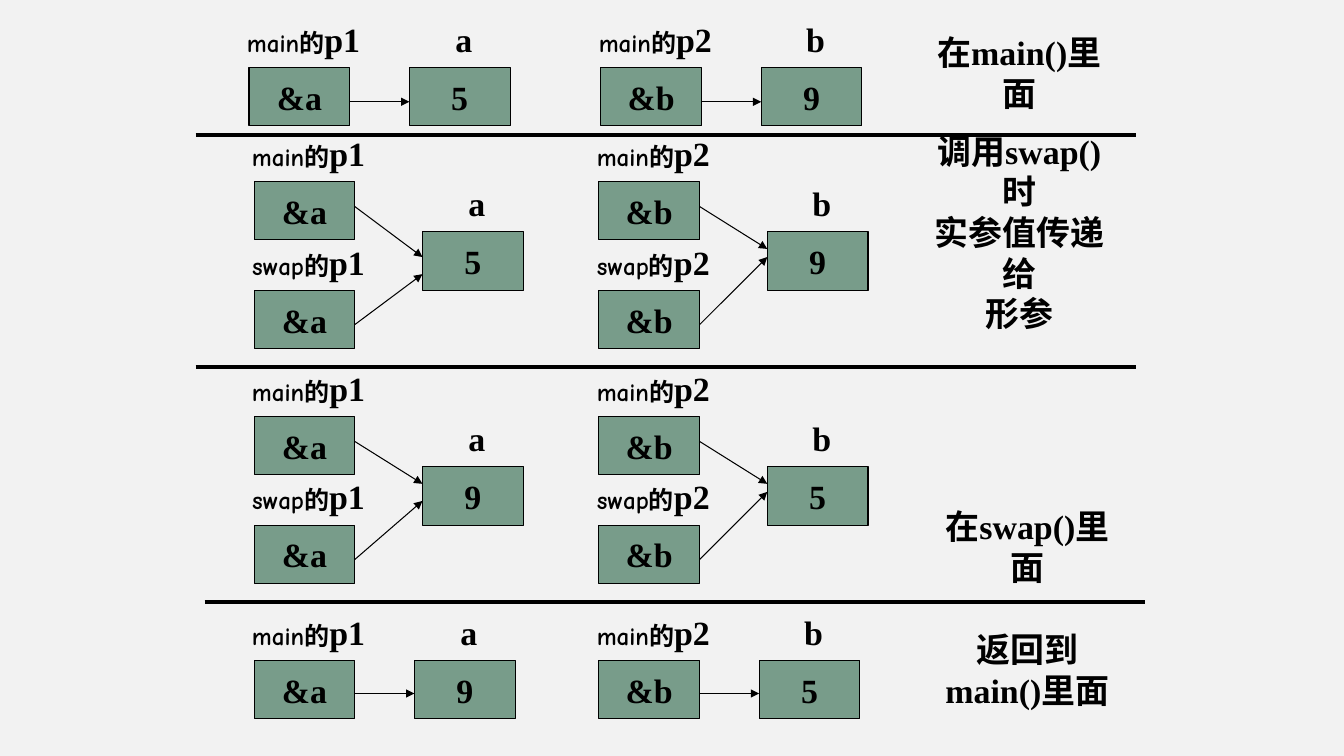
from lxml import etree
from pptx import Presentation
from pptx.dml.color import RGBColor
from pptx.enum import shapes, text
from pptx.oxml.ns import qn
from pptx.util import Inches, Pt

COLORS = {"background": "F2F2F2", "box": "004723", "ink": "000000"}
SERIF, HAND = "Times New Roman", "Comic Neue"
BIG, SMALL = 24.2, 17.9
BOX_W, BOX_H = 1, 0.58
SWAP_DROP = 1.08  # from main's pointer down to swap's pointer

# One stage per row: top, owners of the pointers, target offset, and two panels
# of (left, pointer, variable, value, [(arrow start, arrow end) below the top])
STAGES = [
    (0.67, ["main"], (1.59, 0), [
        (2.47, "p1", "a", "5", [(0.34, 0.34)]),
        (5.96, "p2", "b", "9", [(0.34, 0.34)])]),
    (1.8, ["main", "swap"], (1.67, 0.5), [
        (2.52, "p1", "a", "5", [(0.25, 0.75), (1.42, 0.92)]),
        (5.94, "p2", "b", "9", [(0.25, 0.67), (1.42, 0.75)])]),
    (4.13, ["main", "swap"], (1.67, 0.5), [
        (2.52, "p1", "a", "9", [(0.25, 0.67), (1.42, 0.84)]),
        (5.94, "p2", "b", "5", [(0.25, 0.67), (1.42, 0.75)])]),
    (6.55, ["main"], (1.59, 0), [
        (2.52, "p1", "a", "9", [(0.33, 0.33)]),
        (5.94, "p2", "b", "5", [(0.33, 0.33)])]),
]
CAPTIONS = [
    (9.11, 0.47, ["在main()里面"]),
    (9.11, 2.05, ["调用swap()时", "实参值传递给", "形参"]),
    (9.19, 5.17, ["在swap()里面"]),
    (9.19, 6.39, ["返回到main()里面"]),
]
DIVIDERS = [(1.94, 1.34), (1.94, 3.64), (2.03, 5.97)]
DIVIDER_W = 9.33

prs = Presentation()
prs.slide_width, prs.slide_height = Inches(13.33), Inches(7.5)
slide = prs.slides.add_slide(prs.slide_layouts[6])
slide.background.fill.solid()
slide.background.fill.fore_color.rgb = RGBColor.from_string(COLORS["background"])


def write(sp, lines):
    """Fill a shape with centred lines, each a list of (text, size, font)."""
    tf = sp.text_frame
    tf.word_wrap = False
    tf.vertical_anchor = text.MSO_ANCHOR.MIDDLE
    for i, runs in enumerate(lines):
        p = tf.add_paragraph() if i else tf.paragraphs[0]
        p.alignment = text.PP_ALIGN.CENTER
        for words, size, font in runs:
            r = p.add_run()
            r.text = words
            r.font.size, r.font.name, r.font.bold = Pt(size), font, True
            r.font.color.rgb = RGBColor.from_string(COLORS["ink"])


def add_text(x, y, w, h, lines):
    write(slide.shapes.add_textbox(Inches(x), Inches(y), Inches(w), Inches(h)), lines)


def add_box(x, y, content, label):
    """Draw a memory cell with its label above."""
    sp = slide.shapes.add_shape(shapes.MSO_SHAPE.RECTANGLE,
                                Inches(x), Inches(y), Inches(BOX_W), Inches(BOX_H))
    sp.shadow.inherit = False
    sp.fill.solid()
    sp.fill.fore_color.rgb = RGBColor.from_string(COLORS["box"])
    color = sp.fill._xPr.find(qn("a:solidFill"))[0]
    etree.SubElement(color, qn("a:alpha")).set("val", "50000")
    sp.line.color.rgb = RGBColor.from_string(COLORS["ink"])
    sp.line.width = Pt(0.75)
    write(sp, [[(content, BIG, SERIF)]])
    add_text(x - 0.25, y - 0.66, 1.58, 0.75, [label])


def add_line(x1, y1, x2, y2, width, arrow=False):
    line = slide.shapes.add_connector(shapes.MSO_CONNECTOR.STRAIGHT,
                                      Inches(x1), Inches(y1), Inches(x2), Inches(y2))
    line.line.color.rgb = RGBColor.from_string(COLORS["ink"])
    line.line.width = Pt(width)
    if arrow:
        etree.SubElement(line.line._get_or_add_ln(), qn("a:tailEnd")).set("type", "triangle")
    etree.SubElement(line._element.spPr, qn("a:effectLst"))


# Pointers, variables and arrows
for top, owners, (dx, dy), panels in STAGES:
    for left, pointer, variable, value, arrows in panels:
        for i, owner in enumerate(owners):
            add_box(left, top + i * SWAP_DROP, "&" + variable,
                    [(owner + "的", SMALL, HAND), (pointer, BIG, SERIF)])
        add_box(left + dx, top + dy, value, [(variable, BIG, SERIF)])
        for start, end in arrows:
            add_line(left + BOX_W, top + start, left + dx, top + end, 0.75, arrow=True)

# Dividers between stages
for x, y in DIVIDERS:
    add_line(x, y, x + DIVIDER_W, y, 2.75)

# Stage captions
for x, y, lines in CAPTIONS:
    add_text(x, y, 2, 0.5, [[(line, BIG, SERIF)] for line in lines])

prs.save("out.pptx")
